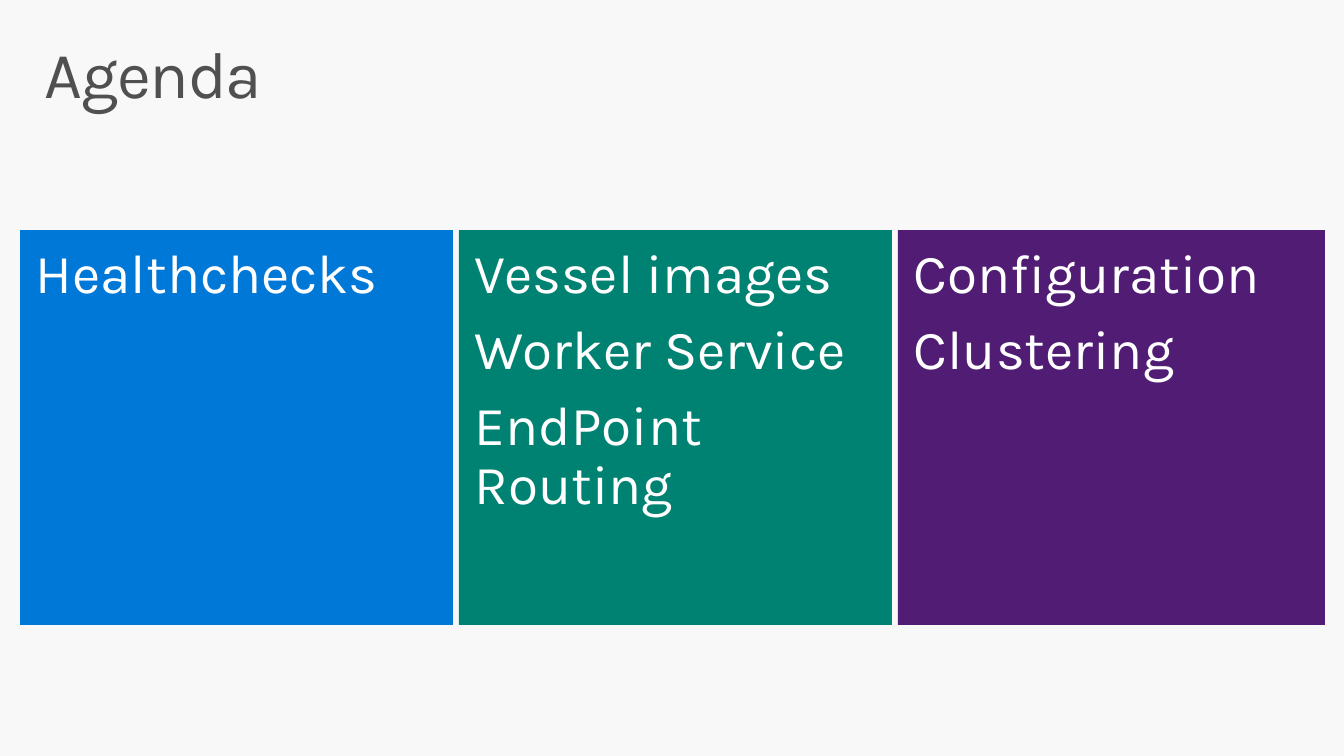
from pptx import Presentation
from pptx.dml.color import RGBColor as RGB
from pptx.enum.shapes import MSO_SHAPE as Shape
from pptx.enum.text import MSO_ANCHOR as Anchor, PP_ALIGN as Align
from pptx.util import Emu, Pt

SCALE = 914400 / 100.8
FONT = "Karla"
COLORS = {
    "back": "F8F8F8",
    "title": "505050",
    "text": "FFFFFF",
    "blue": "0078D7",
    "green": "008272",
    "purple": "511C74",
}
LEFT, TOP, HIGH, GAP = 20, 230, 395, 6
TILES = [
    ("blue", 433, ["Healthchecks"]),
    ("green", 433, ["Vessel images", "Worker Service", "EndPoint Routing"]),
    ("purple", 427, ["Configuration", "Clustering"]),
]


def px(num):
    return Emu(round(num * SCALE))


def color(name):
    return RGB.from_string(COLORS[name])


def write(frame, lines, size, tint, pad, before=0):
    frame.word_wrap = True
    frame.vertical_anchor = Anchor.TOP
    frame.margin_left = frame.margin_right = px(16)
    frame.margin_top = frame.margin_bottom = px(pad)
    for i, line in enumerate(lines):
        para = frame.add_paragraph() if i else frame.paragraphs[0]
        para.text = line
        para.alignment = Align.LEFT
        para.line_spacing = 0.9
        para.space_before = Pt(before)
        para.font.name = FONT
        para.font.size = Pt(size)
        para.font.color.rgb = color(tint)


def add_title(slide, text):
    box = slide.shapes.add_textbox(px(29), px(32), px(1285), px(99))
    write(box.text_frame, [text], 47, "title", 10)
    run = box.text_frame.paragraphs[0].runs[0]
    run._r.get_or_add_rPr().set("spc", "-100")


def add_tile(slide, left, width, fill, lines):
    tile = slide.shapes.add_shape(
        Shape.RECTANGLE, px(left), px(TOP), px(width), px(HIGH)
    )
    tile.shadow.inherit = False
    tile.fill.solid()
    tile.fill.fore_color.rgb = color(fill)
    tile.line.fill.background()
    write(tile.text_frame, lines, 39.2, "text", 16, 12)


def main():
    deck = Presentation()
    deck.slide_width, deck.slide_height = px(1344), px(756)
    slide = deck.slides.add_slide(deck.slide_layouts[6])
    slide.background.fill.solid()
    slide.background.fill.fore_color.rgb = color("back")
    add_title(slide, "Agenda")
    left = LEFT
    for fill, width, lines in TILES:
        add_tile(slide, left, width, fill, lines)
        left += width + GAP
    deck.save("out.pptx")


if __name__ == "__main__":
    main()
